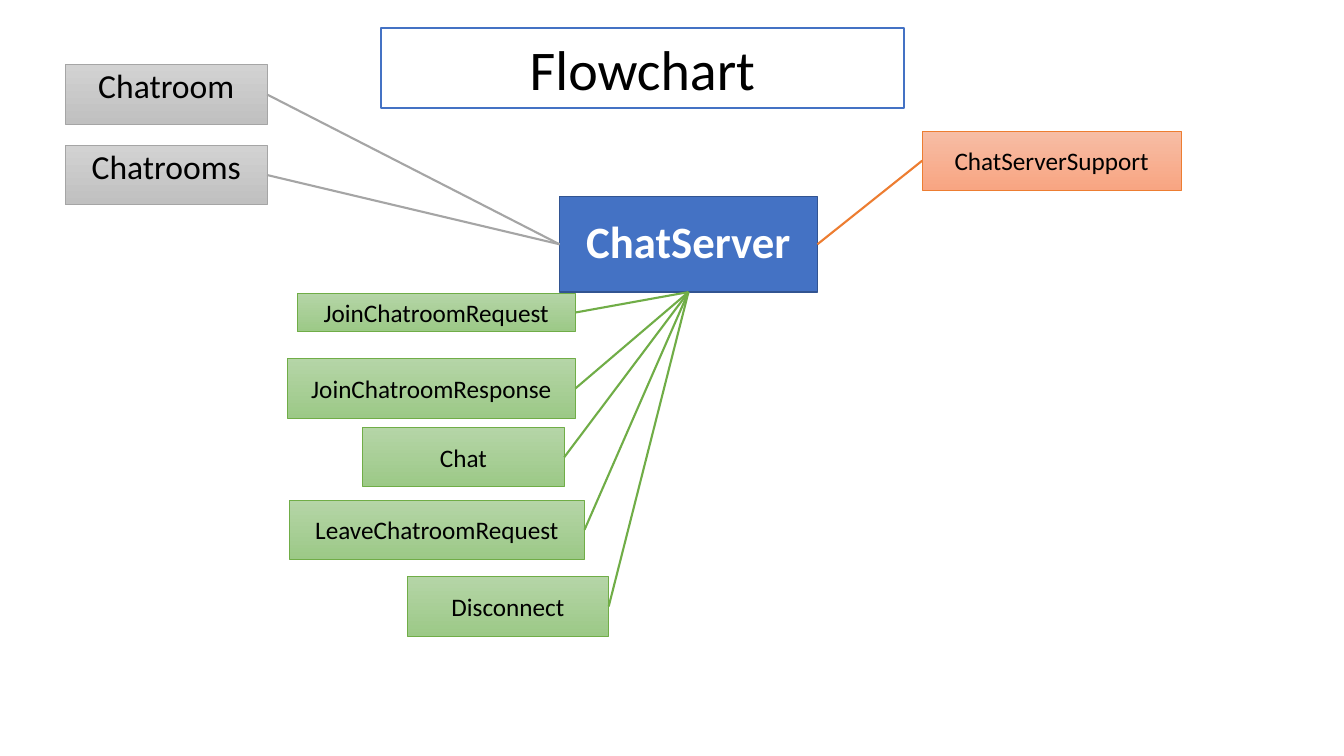
from lxml.etree import SubElement
from pptx import Presentation
from pptx.dml.color import RGBColor
from pptx.enum.shapes import MSO_CONNECTOR, MSO_SHAPE
from pptx.enum.text import MSO_ANCHOR as ANCHOR, PP_ALIGN as ALIGN
from pptx.oxml.ns import qn
from pptx.util import Cm, Pt

COLORS = {
    "white": "FFFFFF", "black": "000000",
    "blue": "4472C4", "dark_blue": "325491",
    "green": "70AD47", "gray": "A5A5A5", "orange": "ED7D31",
}
GRADIENTS = {
    "green": ("B5D5A7", "9CC987"),
    "gray": ("D2D2D2", "C0C0C0"),
    "orange": ("F7BDA5", "F8A582"),
}
TOP, LEFT, BOTTOM, RIGHT = range(4)
BOX_W, BOX_H = 5.08, 1.5

# text, left, top, width, height in cm
ROOMS = [
    ("Chatroom", 1.65, 1.63, BOX_W, BOX_H),
    ("Chatrooms", 1.65, 3.66, BOX_W, BOX_H),
]
MESSAGES = [
    ("JoinChatroomRequest", 7.49, 7.39, 7.01, 0.97),
    ("JoinChatroomResponse", 7.24, 9.04, 7.26, BOX_H),
    ("Chat", 9.14, 10.77, BOX_W, BOX_H),
    ("LeaveChatroomRequest", 7.29, 12.6, 7.44, BOX_H),
    ("Disconnect", 10.26, 14.53, BOX_W, BOX_H),
]
SUPPORT = ("ChatServerSupport", 23.24, 3.3, 6.53, BOX_H)


def rgb(name):
    return RGBColor.from_string(COLORS[name])


def add_box(s, box, line, line_width, size, color="black", anchor=ANCHOR.MIDDLE):
    """Add an outlined rectangle with one centred line of text."""
    text, *place = box
    sp = s.shapes.add_shape(MSO_SHAPE.RECTANGLE, *map(Cm, place))
    sp.shadow.inherit = False
    sp.line.color.rgb = rgb(line)
    sp.line.width = Pt(line_width)
    tf = sp.text_frame
    tf.word_wrap = True
    tf.vertical_anchor = anchor
    p = tf.paragraphs[0]
    p.text = text
    p.alignment = ALIGN.CENTER
    p.font.name = "Calibri"
    p.font.size = Pt(size)
    p.font.color.rgb = rgb(color)
    return sp


def add_solid_box(s, box, fill, line, size, **style):
    sp = add_box(s, box, line, 1, size, **style)
    sp.fill.solid()
    sp.fill.fore_color.rgb = rgb(fill)
    sp.text_frame.paragraphs[0].line_spacing = 0.9
    return sp


def add_gradient_box(s, box, hue, size=18, **style):
    sp = add_box(s, box, hue, 0.5, size, **style)
    sp.fill.gradient()
    sp.fill.gradient_angle = 270
    for stop, shade in zip(sp.fill.gradient_stops, GRADIENTS[hue]):
        stop.color.rgb = RGBColor.from_string(shade)
    return sp


def add_link(s, start, start_side, end, end_side, color):
    link = s.shapes.add_connector(MSO_CONNECTOR.STRAIGHT, 0, 0, 0, 0)
    link.begin_connect(start, start_side)
    link.end_connect(end, end_side)
    link.line.color.rgb = rgb(color)
    link.line.width = Pt(1.5)
    SubElement(link._element.spPr, qn("a:effectLst"))


def main():
    prs = Presentation()
    prs.slide_width, prs.slide_height = Cm(33.87), Cm(19.05)
    s = prs.slides.add_slide(prs.slide_layouts[6])

    # Title and central server
    add_solid_box(s, ("Flowchart", 9.6, 0.71, 13.18, 2.01), "white", "blue", 40,
                  anchor=ANCHOR.BOTTOM)
    server = add_solid_box(s, ("ChatServer", 14.1, 4.95, 6.5, 2.41), "blue",
                           "dark_blue", 32, color="white")
    heading = server.text_frame.paragraphs[0]
    heading.font.bold = True
    heading.space_before = Pt(10)

    # Messages below the server
    for box in MESSAGES:
        message = add_gradient_box(s, box, "green")
        add_link(s, server, BOTTOM, message, RIGHT, "green")

    # Chatrooms on the left
    for box in ROOMS:
        room = add_gradient_box(s, box, "gray", 24, anchor=ANCHOR.TOP)
        p = room.text_frame.paragraphs[0]
        p.line_spacing = 0.9
        p.space_before = Pt(10)
        add_link(s, server, LEFT, room, RIGHT, "gray")

    # Support class on the right
    support = add_gradient_box(s, SUPPORT, "orange")
    add_link(s, support, LEFT, server, RIGHT, "orange")

    prs.save("out.pptx")


if __name__ == "__main__":
    main()
